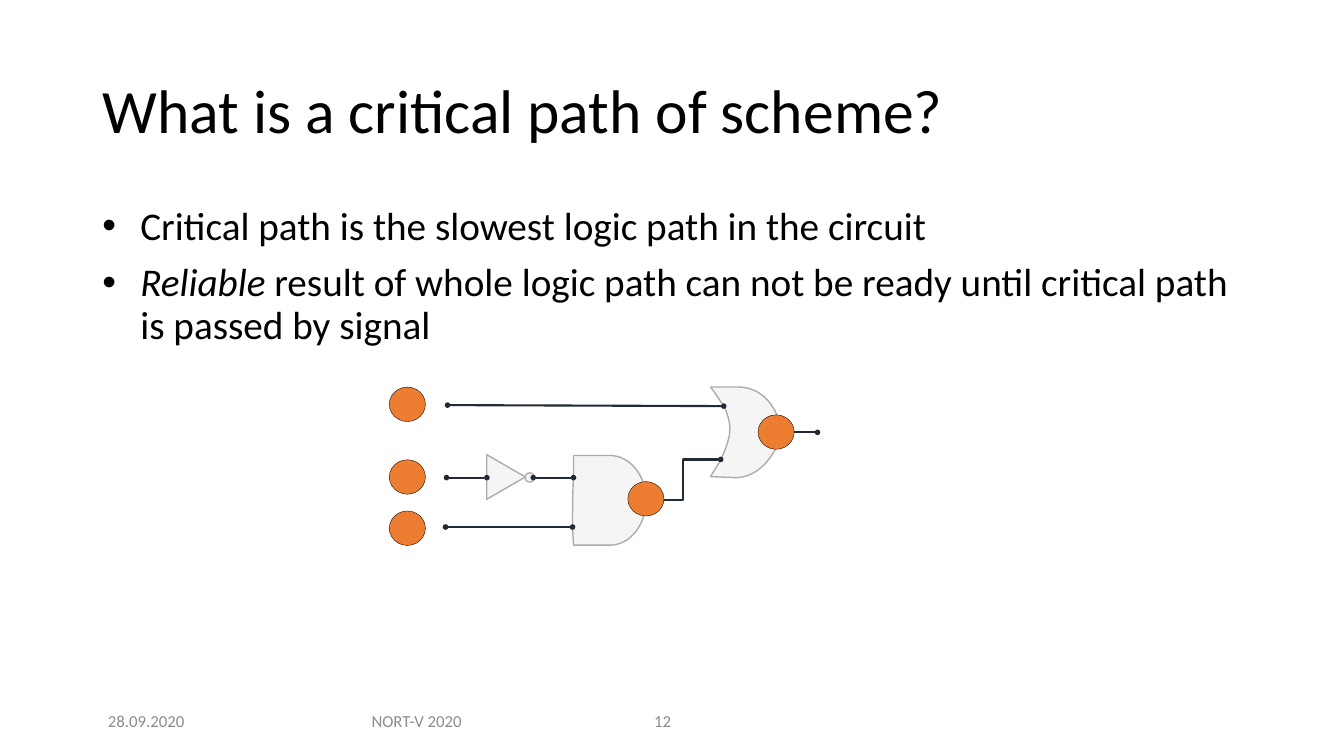
from lxml.etree import SubElement
from pptx import Presentation
from pptx.dml.color import RGBColor
from pptx.enum.shapes import MSO_CONNECTOR, MSO_SHAPE
from pptx.enum.text import MSO_ANCHOR, MSO_AUTO_SIZE, PP_ALIGN
from pptx.oxml.ns import qn
from pptx.util import Inches, Pt

COLORS = {
    "text": "000000",
    "footer": "8C8C8C",
    "panel": "FFFFFF",
    "gate": "F5F5F5",
    "gate_line": "AFABAB",
    "wire": "222A35",
    "node": "ED7D31",
}
COLUMNS = 160

deck = Presentation()
deck.slide_width, deck.slide_height = Inches(13.33), Inches(7.5)
cell = deck.slide_width / COLUMNS
page = deck.slides.add_slide(deck.slide_layouts[1])
shapes = page.shapes


def grid(*lengths):
    return [round(length * cell) for length in lengths]


def paint(shape, fill, line, width):
    shape.shadow.inherit = False
    shape.fill.solid()
    shape.fill.fore_color.rgb = RGBColor.from_string(COLORS[fill])
    shape.line.color.rgb = RGBColor.from_string(COLORS[line])
    shape.line.width = Pt(width)


panel = shapes.add_shape(MSO_SHAPE.RECTANGLE, *grid(98.3, 78.84, 61.7, 11.16))
paint(panel, "panel", "panel", 0)
panel.line.fill.background()
tint = panel._element.spPr.find(qn("a:solidFill"))[0]
SubElement(tint, qn("a:alpha")).set("val", "83000")

title, body = shapes.title, page.placeholders[1]
number, date, footer = [
    shapes.add_textbox(*grid(left, 83.4, width, 4.8))
    for left, width in [(76.7, 9.5), (11, 12.8), (40.1, 19)]
]
for box, place in [(title, (11, 4.8, 138, 17.4)), (body, (11, 24, 138, 54.24))]:
    box.left, box.top, box.width, box.height = grid(*place)

heading = {"alignment": PP_ALIGN.LEFT, "line_spacing": 0.9}
bullet = {**heading, "space_before": Pt(10)}
centered = {"alignment": PP_ALIGN.CENTER}
texts = [
    (title, MSO_ANCHOR.MIDDLE, 44, "text", heading,
     [[("What is a critical path of scheme?", False)]]),
    (body, MSO_ANCHOR.TOP, 28, "text", bullet,
     [[("Critical path is the slowest logic path in the circuit", False)],
      [("Reliable", True),
       (" result of whole logic path can not be ready until critical path"
        " is passed by signal", False)]]),
    (number, MSO_ANCHOR.MIDDLE, 12, "footer", {"alignment": PP_ALIGN.LEFT},
     [[("12", False)]]),
    (date, MSO_ANCHOR.MIDDLE, 12, "footer", centered, [[("28.09.2020", False)]]),
    (footer, MSO_ANCHOR.MIDDLE, 12, "footer", centered, [[("NORT-V 2020", False)]]),
]
for box, anchor, size, color, layout, lines in texts:
    frame = box.text_frame
    frame.word_wrap = True
    frame.auto_size = MSO_AUTO_SIZE.NONE
    frame.vertical_anchor = anchor
    for index, spans in enumerate(lines):
        para = frame.add_paragraph() if index else frame.paragraphs[0]
        for name, value in layout.items():
            setattr(para, name, value)
        for words, italic in spans:
            span = para.add_run()
            span.text = words
            formats = {"name": "Calibri", "size": Pt(size), "italic": italic}
            for name, value in formats.items():
                setattr(span.font, name, value)
            span.font.color.rgb = RGBColor.from_string(COLORS[color])

for para in body.text_frame.paragraphs:
    properties = para._p.get_or_add_pPr()
    indent, = grid(4.5)
    properties.set("marL", str(indent))
    properties.set("indent", str(-indent))
    SubElement(properties, qn("a:buFont")).set("typeface", "Arial")
    SubElement(properties, qn("a:buChar")).set("char", "•")

inverter = shapes.add_shape(MSO_SHAPE.ISOSCELES_TRIANGLE, *grid(57.6, 54.5, 5.3, 4.6))
inverter.rotation = 90
bubble = shapes.add_shape(MSO_SHAPE.OVAL, *grid(62.5, 56.3, 1.1, 1.1))
gates = [inverter, bubble]
shapes.add_group_shape(gates)

and_outline = [
    (68.28, 54.24), (72.6, 54.24),
    (75, 54.24, 76.92, 56.64, 76.92, 59.52),
    (76.92, 62.52, 75, 64.92, 72.6, 64.92),
    (68.28, 64.92), (68.16, 62.76),
    (68.16, 60.84, 68.16, 58.8, 68.28, 56.88),
    (68.28, 54.24),
]
or_outline = [
    (87.84, 46.08), (84.6, 46.08),
    (84.96, 46.56, 85.92, 48, 86.16, 48.36),
    (86.4, 48.72, 87, 50.28, 86.88, 51.36),
    (86.88, 52.32, 86.04, 54.36, 85.8, 54.72),
    (85.68, 55.08, 84.84, 56.28, 84.6, 56.76),
    (87.6, 56.88),
    (90.72, 56.88, 92.88, 53.28, 92.88, 51.48),
    (93, 49.68, 91.44, 46.08, 87.84, 46.08),
]
for start, *segments in (and_outline, or_outline):
    builder = shapes.build_freeform(*grid(*start))
    for segment in segments:
        points = zip(segment[::2], segment[1::2])
        builder.add_line_segments([grid(*point) for point in points], close=False)
    gate = builder.convert_to_shape()
    strokes = gate._element.findall(".//" + qn("a:lnTo"))
    outline = strokes[0].getparent()
    for segment in segments:
        steps = [strokes.pop(0) for _ in range(len(segment) // 2)]
        if len(steps) == 3:
            curve = SubElement(outline, qn("a:cubicBezTo"))
            for step in steps:
                curve.append(step[0])
                outline.remove(step)
        else:
            outline.append(steps[0])
    SubElement(outline, qn("a:close"))
    gates.append(gate)
for gate in gates:
    paint(gate, "gate", "gate_line", 1)

wires = [
    (MSO_CONNECTOR.STRAIGHT, 63.48, 56.88, 68.28, 56.88),
    (MSO_CONNECTOR.ELBOW, 76.92, 59.52, 85.8, 54.72),
    (MSO_CONNECTOR.STRAIGHT, 86.16, 48.36, 53.28, 48.24),
    (MSO_CONNECTOR.STRAIGHT, 57.96, 56.88, 53.16, 56.88),
    (MSO_CONNECTOR.STRAIGHT, 68.16, 62.76, 53.04, 62.76),
    (MSO_CONNECTOR.STRAIGHT, 92.88, 51.48, 97.32, 51.48),
]
for kind, *ends in wires:
    wire = shapes.add_connector(kind, *grid(*ends))
    wire.line.color.rgb = RGBColor.from_string(COLORS["wire"])
    wire.line.width = Pt(1.5)
    stroke = wire.line._get_or_add_ln()
    for tip in ("a:headEnd", "a:tailEnd"):
        dot = SubElement(stroke, qn(tip))
        for name, value in {"type": "oval", "w": "sm", "len": "sm"}.items():
            dot.set(name, value)
    SubElement(wire._element.spPr, qn("a:effectLst"))

for left, top in [(46.35, 46.1), (46.35, 54.75), (46.35, 60.85), (74.75, 57.35), (90.25, 49.4)]:
    node = shapes.add_shape(MSO_SHAPE.OVAL, *grid(left, top, 4.3, 4.1))
    paint(node, "node", "text", 0.25)

deck.save("out.pptx")
